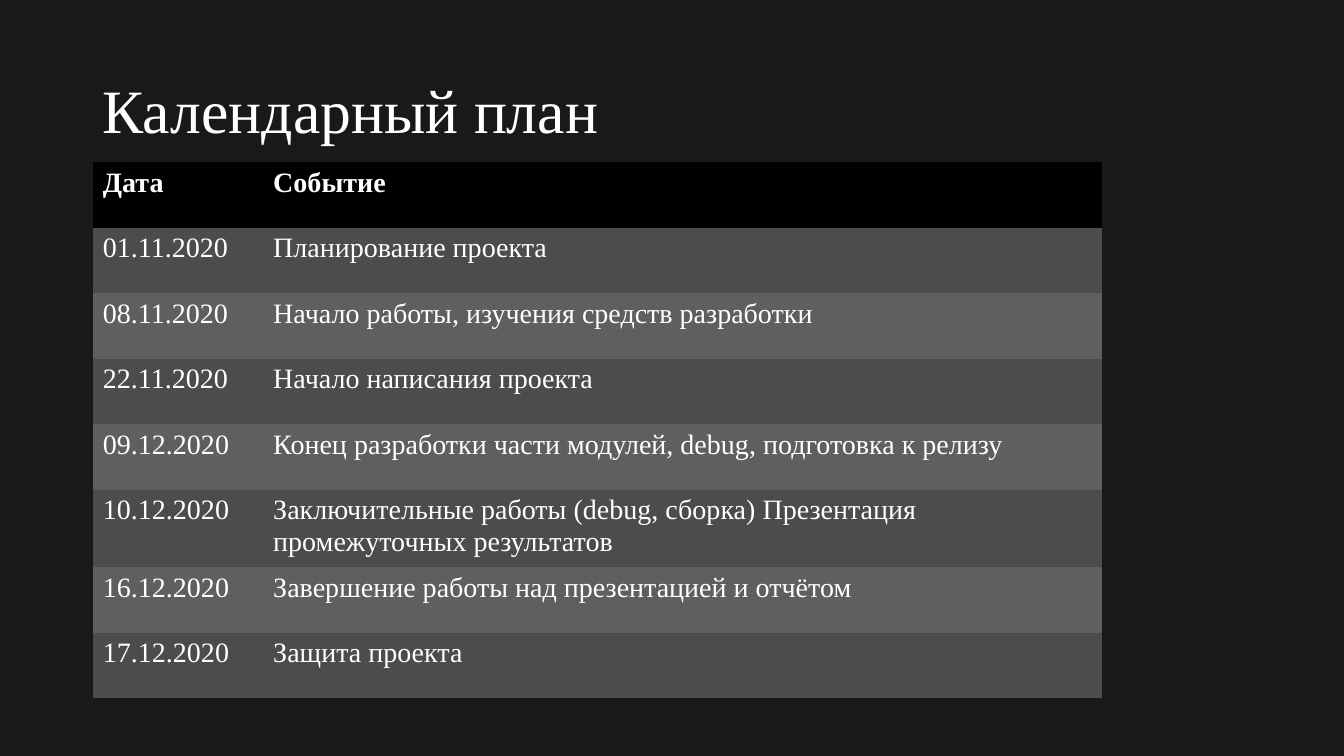
from dataclasses import dataclass

from pptx import Presentation
from pptx.dml.color import RGBColor
from pptx.enum.text import MSO_ANCHOR
from pptx.oxml.ns import qn
from pptx.util import Inches, Pt

PLAIN_TABLE_STYLE = "{2D5ABB26-0587-4C30-8999-92F81FD0307C}"

SCHEDULE = [
    ("Дата", "Событие"),
    ("01.11.2020", "Планирование проекта"),
    ("08.11.2020", "Начало работы, изучения средств разработки"),
    ("22.11.2020", "Начало написания проекта"),
    ("09.12.2020", "Конец разработки части модулей, debug, подготовка к релизу"),
    ("10.12.2020", "Заключительные работы (debug, сборка) "
                   "Презентация промежуточных результатов"),
    ("16.12.2020", "Завершение работы над презентацией и отчётом"),
    ("17.12.2020", "Защита проекта"),
]
COLUMN_WIDTHS = (1.69, 8.32)
ROW_HEIGHT = 0.65
TWO_LINE_ROW, TWO_LINE_HEIGHT = 5, 0.75


@dataclass(frozen=True)
class Theme:
    font: str = "Times New Roman"
    background: str = "191919"
    text: str = "FFFFFF"
    header: str = "000000"
    bands: tuple = ("4C4C4C", "5F5F5F")
    title_size: int = 44
    body_size: int = 20


def paint(fill, color):
    fill.solid()
    fill.fore_color.rgb = RGBColor.from_string(color)


def write(frame, text, *, font, size, color, bold=False, line_spacing=None):
    paragraph = frame.paragraphs[0]
    paragraph.line_spacing = line_spacing
    run = paragraph.add_run()
    run.text = text
    run.font.name = font
    run.font.size = Pt(size)
    run.font.bold = bold
    run.font.color.rgb = RGBColor.from_string(color)


class SlideBuilder:
    def __init__(self, slide, theme):
        self.slide = slide
        self.theme = theme
        paint(slide.background.fill, theme.background)

    def title(self, text, left, top, width, height):
        heading = self.slide.shapes.add_textbox(
            Inches(left), Inches(top), Inches(width), Inches(height)).text_frame
        heading.word_wrap = True
        heading.vertical_anchor = MSO_ANCHOR.MIDDLE
        write(heading, text, font=self.theme.font, size=self.theme.title_size,
              color=self.theme.text, line_spacing=0.9)

    def table(self, rows, left, top, widths, heights):
        """Draw a borderless table with a dark header and alternating bands."""
        theme = self.theme
        holder = self.slide.shapes.add_table(
            len(rows), len(widths), Inches(left), Inches(top),
            Inches(sum(widths)), Inches(sum(heights)))
        holder.element.find(".//" + qn("a:tableStyleId")).text = PLAIN_TABLE_STYLE
        schedule = holder.table
        for column, width in zip(schedule.columns, widths):
            column.width = Inches(width)
        for index, (row, height, entries) in enumerate(
                zip(schedule.rows, heights, rows)):
            row.height = Inches(height)
            is_header = index == 0
            band = theme.header if is_header else theme.bands[(index - 1) % 2]
            for cell, entry in zip(row.cells, entries):
                paint(cell.fill, band)
                write(cell.text_frame, entry, font=theme.font,
                      size=theme.body_size, color=theme.text, bold=is_header)


def main():
    deck = Presentation()
    deck.slide_width, deck.slide_height = Inches(13.33), Inches(7.5)
    builder = SlideBuilder(deck.slides.add_slide(deck.slide_layouts[6]), Theme())
    builder.title("Календарный план", 0.92, 0.4, 11.5, 1.45)
    heights = [TWO_LINE_HEIGHT if index == TWO_LINE_ROW else ROW_HEIGHT
               for index in range(len(SCHEDULE))]
    builder.table(SCHEDULE, 0.92, 1.61, COLUMN_WIDTHS, heights)
    deck.save("out.pptx")


if __name__ == "__main__":
    main()
